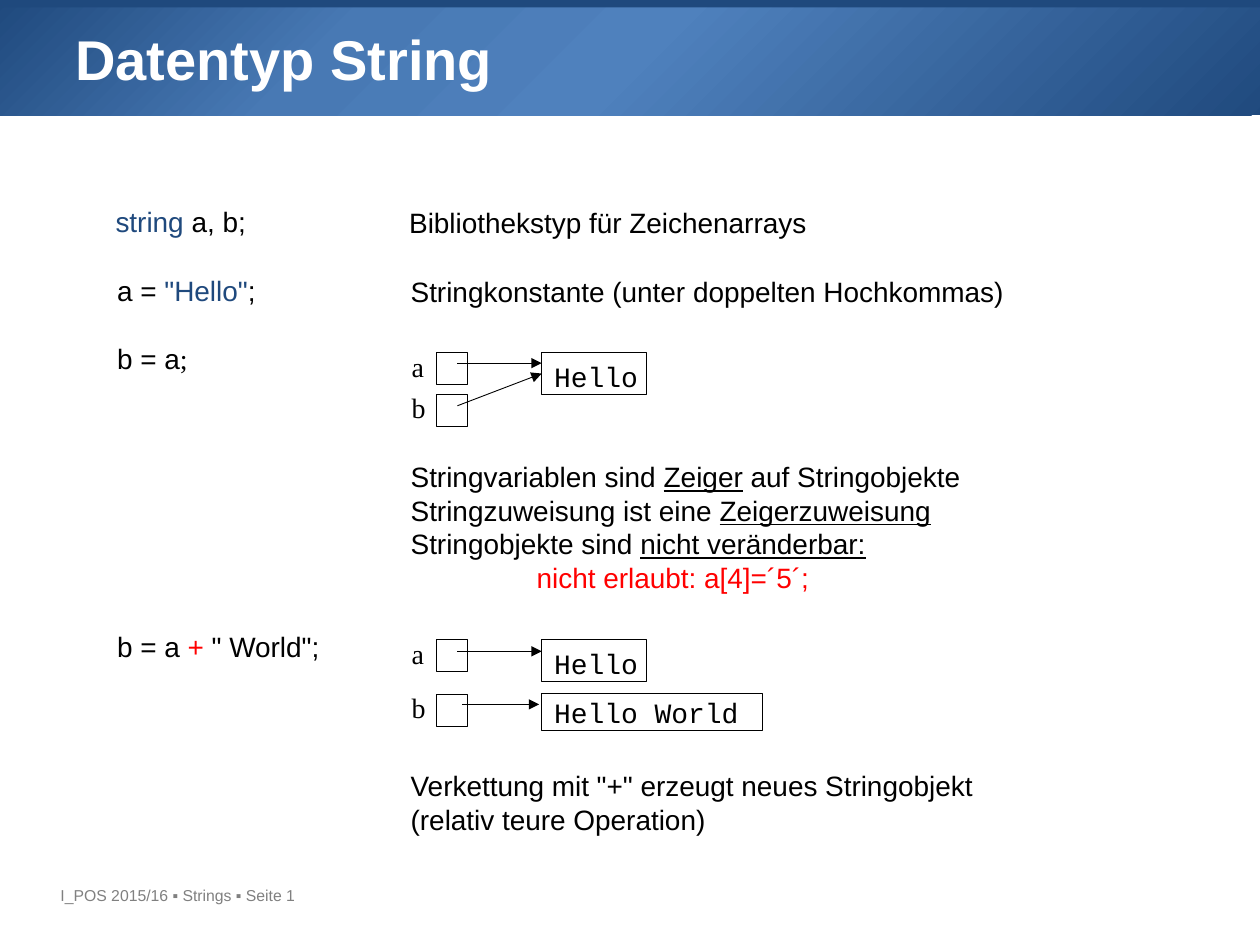
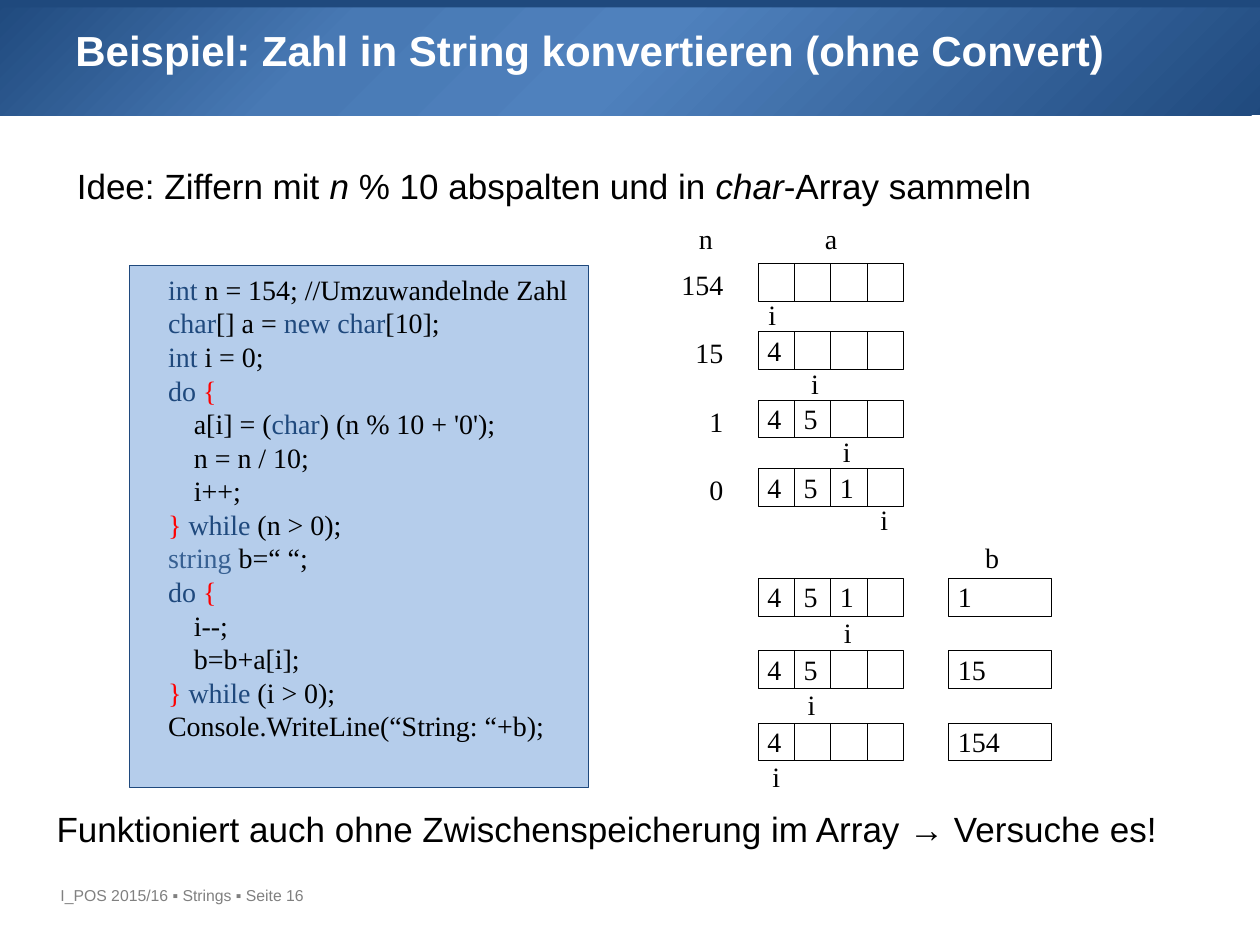
from lxml import etree
from pptx import Presentation
from pptx.dml.color import RGBColor
from pptx.enum.shapes import MSO_CONNECTOR, MSO_SHAPE
from pptx.enum.text import MSO_ANCHOR, PP_ALIGN
from pptx.oxml import parse_xml
from pptx.oxml.ns import nsdecls, qn
from pptx.util import Cm, Pt

RECTANGLE = MSO_SHAPE.RECTANGLE
STRAIGHT = MSO_CONNECTOR.STRAIGHT
TOP = MSO_ANCHOR.TOP
LEFT, RIGHT = PP_ALIGN.LEFT, PP_ALIGN.RIGHT

NAVY = RGBColor(0x1F, 0x49, 0x7D)
MID_BLUE = RGBColor(0x48, 0x79, 0xB4)
LIGHT_BLUE = RGBColor(0x4F, 0x81, 0xBD)
STEEL = RGBColor(0x37, 0x60, 0x92)
PALE_BLUE = RGBColor(0xB5, 0xCD, 0xEB)
GREY = RGBColor(0x80, 0x80, 0x80)
RED = RGBColor(0xFF, 0x00, 0x00)
BLACK = RGBColor(0x00, 0x00, 0x00)
WHITE = RGBColor(0xFF, 0xFF, 0xFF)

SANS, SERIF, MONO = "Arial", "Times New Roman", "Courier New"
BAND_STOPS = [(0, NAVY), (27, MID_BLUE), (50, LIGHT_BLUE), (100, NAVY)]
LINE_HEIGHT = 0.94


def blue(text):
    return text, {"color": NAVY}


def red(text):
    return text, {"color": RED}


def underlined(text):
    return text, {"underline": True}


def italic(text):
    return text, {"italic": True}


STATEMENTS = [
    (2.08, 3.99, 3.18, [[blue("string"), " a, b;"]]),
    (2.11, 5.38, 3.33, [["a = ", blue('"Hello"'), ";"]]),
    (2.11, 6.76, 1.96, [["b = a", (";", {"font": SERIF})]]),
    (2.11, 12.57, 4.65, [["b = a ", red("+"), ' " World";']]),
]
EXPLANATIONS = [
    (8.0, 4.01, 8.61, [["Bibliothekstyp für Zeichenarrays"]]),
    (8.03, 5.41, 12.62, [["Stringkonstante (unter doppelten Hochkommas)"]]),
    (8.03, 9.14, 11.71, [
        ["Stringvariablen sind ", underlined("Zeiger"), " auf Stringobjekte"],
        ["Stringzuweisung ist eine ", underlined("Zeigerzuweisung")],
        ["Stringobjekte sind ", underlined("nicht veränderbar:")],
        (2.54, [red("nicht erlaubt: a[4]=´5´;")]),
    ]),
    (8.03, 15.37, 12.14, [['Verkettung mit "+" erzeugt neues Stringobjekt'],
                          ["(relativ teure Operation)"]]),
]
VARIABLES = [("a", 7.11), ("b", 7.95), ("a", 12.9), ("b", 14.0)]
STRING_OBJECTS = [
    ("Hello", 7.11, 2.11, 0.84, 0.13),
    ("Hello", 12.9, 2.11, 0.84, 0.13),
    ("Hello World", 13.97, 4.45, 0.76, 0.05),
]
POINTERS = [
    (9.22, 7.32, 10.92, 7.32, None),
    (9.22, 8.18, 10.92, 7.53, 0),
    (9.22, 13.13, 10.92, 13.13, None),
    (9.32, 14.2, 10.87, 14.2, None),
]

IDEA = [["Idee: Ziffern mit ", italic("n"), " % 10 abspalten und in ",
         italic("char"), "-Array sammeln"]]
CLOSING = [["Funktioniert auch ohne Zwischenspeicherung im Array → Versuche es!"]]
CODE = [
    (0, [blue("int"), " n = 154; //Umzuwandelnde Zahl"]),
    (0, [blue("char"), "[] a = ", blue("new char"), "[10];"]),
    (0, [blue("int"), " i = 0;"]),
    (0, [blue("do "), red("{")]),
    (1, ["a[i] = (", blue("char"), ") (n % 10 + '0');"]),
    (1, ["n = n / 10;"]),
    (1, ["i++;"]),
    (0, [red("} "), blue("while"), " (n > 0);"]),
    (0, [("string ", {"color": STEEL}), "b=“ “;"]),
    (0, [blue("do "), red("{")]),
    (1, ["i--;"]),
    (1, ["b=b+a[i];"]),
    (0, [red("} "), blue("while"), " (i > 0);"]),
    (0, ["Console.WriteLine(“String: “+b);"]),
]
SPLIT_STEPS = [("154", "", 15.24), ("15", "4", 16.1),
               ("1", "45", 16.74), ("0", "451", 17.5)]
JOIN_STEPS = [("451", "1", 16.76), ("45", "15", 16.03), ("4", "154", 15.32)]
HEADINGS = [("n", 13.84, 4.34), ("a", 16.38, 4.34), ("b", 19.61, 10.77)]
ARRAY_LEFT, CELL_WIDTH, CELL_HEIGHT, ARRAY_LENGTH = 15.29, 0.73, 0.76, 4


def write_text(box, lines, font=SANS, size=16, color=BLACK, bold=False,
               align=LEFT, wrap=False, insets=(0.25, 0.13, 0.25, 0.13)):
    frame = box.text_frame
    frame.word_wrap = wrap
    frame.vertical_anchor = TOP
    (frame.margin_left, frame.margin_top,
     frame.margin_right, frame.margin_bottom) = map(Cm, insets)
    for number, line in enumerate(lines):
        indent, spans = line if isinstance(line, tuple) else (0, line)
        para = frame.add_paragraph() if number else frame.paragraphs[0]
        para.alignment = align
        if indent:
            properties = para._p.get_or_add_pPr()
            properties.set("marL", str(Cm(indent)))
            properties.set("indent", "0")
        for item in spans:
            text, extra = item if isinstance(item, tuple) else (item, {})
            span = para.add_run()
            span.text = text
            span.font.name = extra.get("font", font)
            span.font.size = Pt(size)
            span.font.bold = bold
            span.font.italic = extra.get("italic", False)
            span.font.underline = extra.get("underline", False)
            span.font.color.rgb = extra.get("color", color)


def add_text(page, left, top, width, lines, height=LINE_HEIGHT, **style):
    box = page.shapes.add_textbox(Cm(left), Cm(top), Cm(width), Cm(height))
    write_text(box, lines, **style)


def add_box(page, left, top, width, height, fill=None, line=BLACK):
    box = page.shapes.add_shape(RECTANGLE, Cm(left), Cm(top), Cm(width), Cm(height))
    box.shadow.inherit = False
    if fill is None:
        box.fill.background()
    else:
        box.fill.solid()
        box.fill.fore_color.rgb = fill
    if line is None:
        box.line.fill.background()
    else:
        box.line.color.rgb = line
        box.line.width = Pt(0.5)
    return box


def add_pointer(page, start_x, start_y, end_x, end_y, target=None):
    pointer = page.shapes.add_connector(
        STRAIGHT, Cm(start_x), Cm(start_y), Cm(end_x), Cm(end_y))
    if target is not None:
        pointer.end_connect(target, 1)
    pointer.line.color.rgb = BLACK
    pointer.line.width = Pt(0.5)
    head = etree.SubElement(pointer.line._get_or_add_ln(), qn("a:tailEnd"))
    head.set("type", "triangle")
    etree.SubElement(pointer._element.spPr, qn("a:effectLst"))


def add_page(deck, title, title_size, number):
    page = deck.slides.add_slide(deck.slide_layouts[6])
    band = add_box(page, -0.03, -0.03, 25.7, 2.36, line=None)
    stops = "".join(
        f'<a:gs pos="{place * 1000}"><a:srgbClr val="{color}"/></a:gs>'
        for place, color in BAND_STOPS)
    gradient = parse_xml(
        f'<a:gradFill {nsdecls("a")} rotWithShape="1"><a:gsLst>{stops}</a:gsLst>'
        '<a:path path="circle"><a:fillToRect r="100000" b="100000"/></a:path>'
        '</a:gradFill>')
    properties = band._element.spPr
    properties.replace(properties.find(qn("a:noFill")), gradient)
    add_box(page, -0.03, -0.08, 25.7, 0.23, fill=NAVY, line=None)
    add_text(page, 0.97, 17.73, 5.92, [[f"I_POS 2015/16 ▪ Strings ▪ Seite {number}"]],
             height=0.64, size=9, color=GREY, wrap=True)
    add_text(page, 1.27, 0.36, 22.86, [[title]], height=3.18,
             size=title_size, color=WHITE, bold=True, wrap=True)
    return page


def add_string_page(deck):
    page = add_page(deck, "Datentyp String", 32, 1)
    for left, top, width, lines in STATEMENTS + EXPLANATIONS:
        height = LINE_HEIGHT + 0.68 * (len(lines) - 1)
        add_text(page, left, top, width, lines, height=height)
    for name, top in VARIABLES:
        add_box(page, 8.79, top, 0.64, 0.64)
        add_text(page, 8.05, top - 0.2, 0.78, [[name]], font=SERIF)
    objects = []
    for value, top, width, height, inset in STRING_OBJECTS:
        box = add_box(page, 10.92, top, width, height)
        write_text(box, [[value]], font=MONO, wrap=True, insets=(0.25, inset, 0, 0))
        objects.append(box)
    for *ends, target in POINTERS:
        add_pointer(page, *ends, None if target is None else objects[target])


def add_value_box(page, left, top, width, value):
    box = add_box(page, left, top, width, CELL_HEIGHT)
    if value:
        write_text(box, [[value]], font=SERIF, wrap=True, insets=(0.18, 0.03, 0, 0))


def add_array(page, top, digits, index_left, index_drop):
    for place, digit in enumerate(digits.ljust(ARRAY_LENGTH)):
        add_value_box(page, ARRAY_LEFT + place * CELL_WIDTH, top, CELL_WIDTH,
                      digit.strip())
    add_text(page, index_left, top + index_drop, 0.66, [["i"]], font=SERIF)


def add_conversion_page(deck):
    page = add_page(deck, "Beispiel: Zahl in String konvertieren (ohne Convert)", 24, 16)
    add_text(page, 1.3, 3.18, 19.86, IDEA, height=1.12, size=20)
    listing = add_box(page, 2.62, 5.36, 9.25, 10.52, fill=PALE_BLUE, line=NAVY)
    lines = [(0.52 * (level + 1), spans) for level, spans in CODE]
    write_text(listing, lines, font=SERIF, wrap=True, insets=(0.25, 0.13, 0, 0.13))
    for name, left, top in HEADINGS:
        add_text(page, left, top, 0.78, [[name]], font=SERIF)
    for step, (rest, digits, index_left) in enumerate(SPLIT_STEPS):
        top = 5.31 + 1.38 * step
        add_text(page, 13.23, top - 0.05, 1.6, [[rest]], font=SERIF,
                 align=RIGHT, wrap=True)
        add_array(page, top, digits, index_left, 0.56)
    for step, (digits, joined, index_left) in enumerate(JOIN_STEPS):
        top = 11.66 + 1.46 * step
        add_array(page, top, digits, index_left, 0.61)
        add_value_box(page, 19.13, top, 2.06, joined)
    add_text(page, 0.89, 16.15, 22.86, CLOSING, height=1.12, size=20)


def main():
    deck = Presentation()
    deck.slide_width, deck.slide_height = Cm(25.4), Cm(19.05)
    add_string_page(deck)
    add_conversion_page(deck)
    deck.save("out.pptx")


if __name__ == "__main__":
    main()
